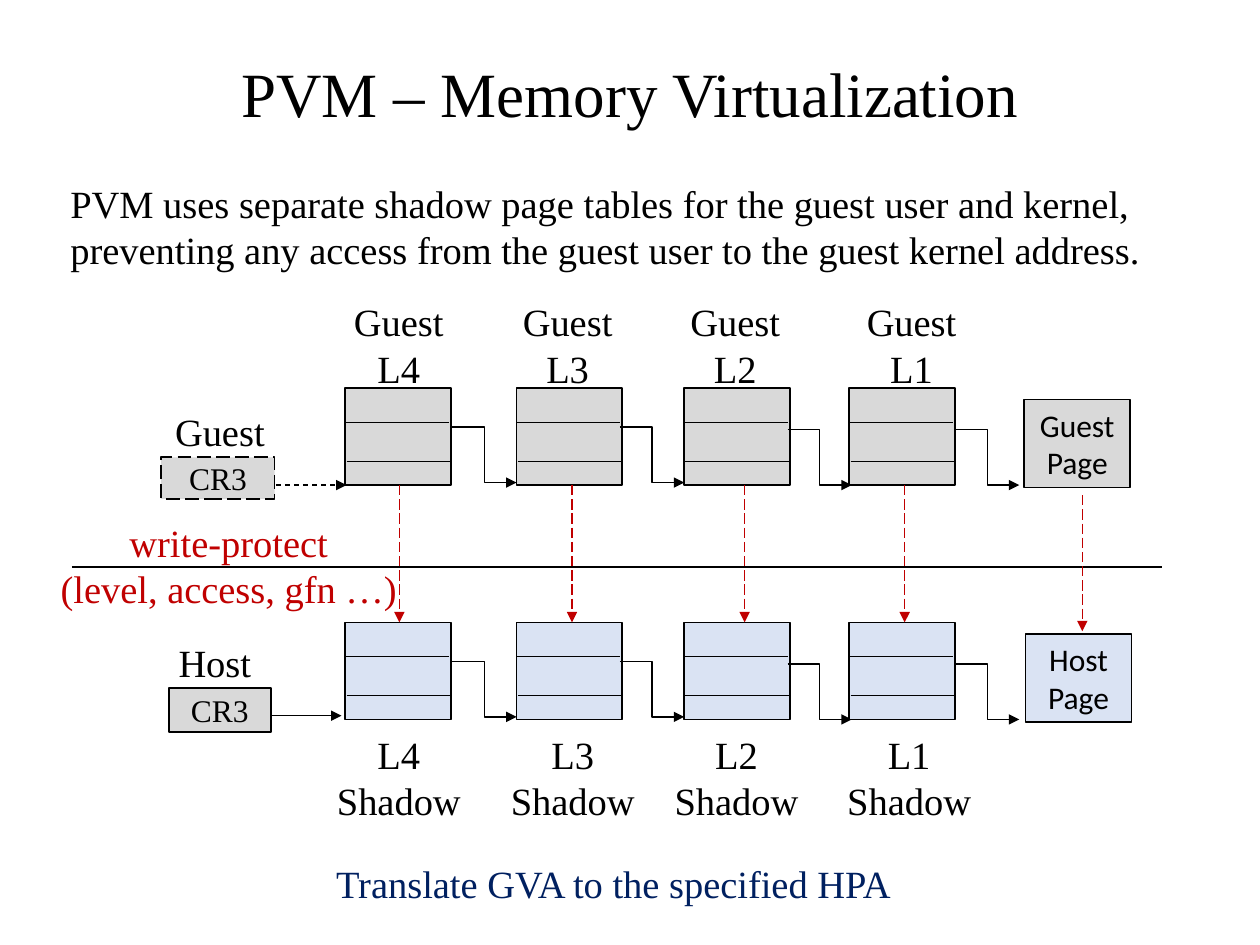
from dataclasses import dataclass

from pptx import Presentation
from pptx.dml.color import RGBColor
from pptx.enum.dml import MSO_LINE
from pptx.enum.shapes import MSO_CONNECTOR as LINK, MSO_SHAPE
from pptx.enum.text import MSO_ANCHOR, PP_ALIGN
from pptx.oxml.ns import qn
from pptx.slide import Slide
from pptx.util import Inches, Pt
from lxml.etree import SubElement

COLORS = {"ink": "000000", "guest": "D9D9D9", "host": "DAE3F3", "protect": "C00000", "navy": "002060"}
SERIF, SANS = "Times New Roman", "Calibri"


@dataclass
class PageTableSlide:
    """Draw page-table elements on one slide in a shared style."""

    slide: Slide
    label_size: int = 22
    box_size: int = 18

    def color(self, name):
        return RGBColor.from_string(COLORS[name])

    def fill_text(self, frame, lines, size, font=SERIF, color="ink", align=PP_ALIGN.CENTER):
        frame.word_wrap = True
        for index, line in enumerate(lines):
            paragraph = frame.paragraphs[0] if index == 0 else frame.add_paragraph()
            paragraph.text = line
            paragraph.alignment = align
            paragraph.font.size = Pt(size)
            paragraph.font.name = font
            paragraph.font.color.rgb = self.color(color)

    def label(self, place, *lines, size=None, **style):
        box = self.slide.shapes.add_textbox(*map(Inches, place))
        self.fill_text(box.text_frame, lines, size or self.label_size, **style)

    def box(self, place, fill, *lines, font=SERIF, dash=None):
        shape = self.slide.shapes.add_shape(MSO_SHAPE.RECTANGLE, *map(Inches, place))
        shape.shadow.inherit = False
        shape.fill.solid()
        shape.fill.fore_color.rgb = self.color(fill)
        shape.line.color.rgb = self.color("ink")
        shape.line.width = Pt(1)
        if dash:
            shape.line.dash_style = dash
        shape.text_frame.vertical_anchor = MSO_ANCHOR.MIDDLE
        self.fill_text(shape.text_frame, lines, self.box_size, font)

    def line(self, start, end, kind=LINK.STRAIGHT, color="ink", width=0.75, dash=None, arrow=False):
        connector = self.slide.shapes.add_connector(kind, *map(Inches, (*start, *end)))
        connector.line.color.rgb = self.color(color)
        connector.line.width = Pt(width)
        if dash:
            connector.line.dash_style = dash
        properties = connector._element.spPr
        if arrow:
            SubElement(properties.find(qn("a:ln")), qn("a:tailEnd"), type="triangle")
        SubElement(properties, qn("a:effectLst"))

    def table(self, left, top, fill):
        self.box((left, top, 0.84, 0.77), fill)
        for shift, drop in ((0, 0.27), (0.01, 0.58)):
            x, y = left + shift, top + drop
            self.line((x, y), (x + 0.82, y), width=0.5)

    def step(self, x, y):
        self.line((x, y), (x + 0.51, y + 0.44), kind=LINK.ELBOW, arrow=True)

    def protect(self, x, top, bottom):
        self.line((x, top), (x, bottom), color="protect", dash=MSO_LINE.LONG_DASH, arrow=True)


def main():
    deck = Presentation()
    deck.slide_width, deck.slide_height = Inches(10), Inches(7.5)
    page = PageTableSlide(deck.slides.add_slide(deck.slide_layouts[6]))

    page.label((0, 0.38, 10, 0.68), "PVM – Memory Virtualization", size=36)
    page.label(
        (0.46, 1.38, 9.31, 0.84),
        "PVM uses separate shadow page tables for the guest user and kernel, "
        "preventing any access from the guest user to the guest kernel address.",
        align=PP_ALIGN.LEFT,
    )

    table_lefts = (2.74, 4.1, 5.43, 6.74)
    step_drops = (0.31, 0.31, 0.33, 0.33)
    for fill, top, owner, page_left, page_top in (
        ("guest", 3.08, "Guest", 8.13, 3.17),
        ("host", 4.94, "Host", 8.14, 5.03),
    ):
        for index, (left, drop) in enumerate(zip(table_lefts, step_drops)):
            page.table(left, top, fill)
            page.step(3.59 + 1.33 * index, top + drop)
        page.box((page_left, page_top, 0.84, 0.7), fill, owner, "Page", font=SANS)

    levels = ("L4", "L3", "L2", "L1")
    guest_lefts = (2.66, 4, 5.33, 6.73)
    shadow_lefts = (2.57, 3.95, 5.25, 6.62)
    for level, guest_left, shadow_left in zip(levels, guest_lefts, shadow_lefts):
        page.label((guest_left, 2.32, 1.01, 0.84), "Guest", level)
        page.label((shadow_left, 5.75, 1.19, 0.84), level, "Shadow")

    page.line((0.57, 4.5), (9.22, 4.5))
    for x in (3.17, 4.54, 5.91, 7.18):
        page.protect(x, 3.85, 4.94)
    page.protect(8.59, 3.93, 5.01)
    page.label((0.22, 4.07, 3.19, 0.84), "write-protect", "(level, access, gfn …)", color="protect")

    page.box((1.28, 3.63, 0.9, 0.33), "guest", "CR3", dash=MSO_LINE.LONG_DASH)
    page.line((2.19, 3.85), (2.75, 3.85), dash=MSO_LINE.DASH, arrow=True)
    page.label((1.24, 3.19, 1.01, 0.47), "Guest")
    page.box((1.34, 5.46, 0.81, 0.35), "guest", "CR3")
    page.line((2.15, 5.68), (2.71, 5.68), arrow=True)
    page.label((1.2, 5.02, 1.01, 0.47), "Host")

    page.label((2.57, 6.78, 4.83, 0.47), "Translate GVA to the specified HPA", color="navy", align=PP_ALIGN.LEFT)
    deck.save("out.pptx")


if __name__ == "__main__":
    main()
